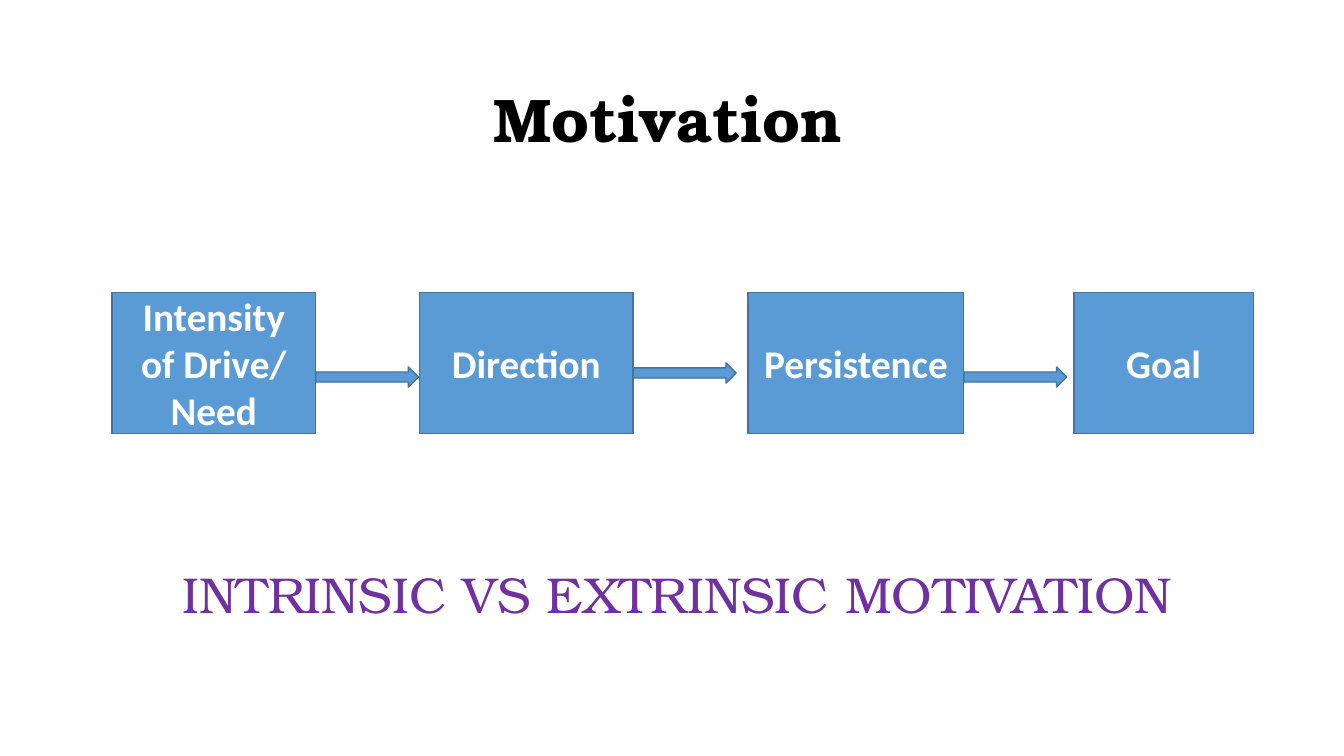
from pptx import Presentation, util as u
from pptx.dml.color import RGBColor
from pptx.enum import shapes, text

BLUE, EDGE, WHITE, BLACK, PURPLE = "5B9BD5", "43739E", "FFFFFF", "000000", "7030A0"
SERIF, SANS = "TeX Gyre Bonum", "Calibri"
# Step label, left edge and width in percent of the flow box
STEPS = [
    ("Intensity of Drive/ Need", 0, 17.84),
    ("Direction", 26.94, 18.73),
    ("Persistence", 55.74, 18.9),
    ("Goal", 84.28, 15.72),
]
# Top of each arrow in percent of the flow box
TOPS = [52.86, 50, 52.86]


def color(fmt, code):
    """Set a fill's or font's colour from a hex string."""
    if hasattr(fmt, "solid"):
        fmt.solid()
        fmt = fmt.fore_color
    else:
        fmt = fmt.color
    fmt.rgb = RGBColor.from_string(code)


def part(box, x, y, w, h):
    """Return the area given in percent of a box."""
    left, top, wide, high = box
    return (int(left + wide * x / 100), int(top + high * y / 100),
            int(wide * w / 100), int(high * h / 100))


def write(frame, words, size, face, code, bold=False, align=text.PP_ALIGN.CENTER):
    """Fill a text frame with one styled paragraph and return it."""
    frame.text = words
    para = frame.paragraphs[0]
    para.alignment = align
    font = para.font
    font.size, font.name, font.bold = u.Pt(size), face, bold
    color(font, code)
    return para


def block(slide, kind, area):
    """Add a blue outlined shape."""
    shape = slide.shapes.add_shape(kind, *area)
    shape.shadow.inherit = False
    color(shape.fill, BLUE)
    color(shape.line.fill, EDGE)
    shape.line.width = u.Pt(1)
    return shape


def heading(slide, box):
    """Place the title at the top of its box."""
    title = slide.shapes.title
    title.left, title.top, title.width, title.height = box
    frame = title.text_frame
    para = write(frame, "Motivation", 44, SERIF, BLACK, bold=True)
    para.line_spacing, para.space_before = 0.9, u.Pt(10)
    frame.vertical_anchor = text.MSO_ANCHOR.TOP
    frame.auto_size = text.MSO_AUTO_SIZE.NONE


def flow(slide, box):
    """Draw the steps in a row, then the arrows between them."""
    kinds = shapes.MSO_SHAPE
    for words, x, w in STEPS:
        frame = block(slide, kinds.RECTANGLE, part(box, x, 0, w, 100)).text_frame
        frame.vertical_anchor = text.MSO_ANCHOR.MIDDLE
        write(frame, words, 28, SANS, WHITE, bold=True)
    for (_, x, w), y in zip(STEPS, TOPS):
        block(slide, kinds.RIGHT_ARROW, part(box, x + w, y, 9.01, 14.29))


def caption(slide, box):
    """Write the closing line."""
    frame = slide.shapes.add_textbox(*box).text_frame
    frame.word_wrap = False
    frame.auto_size = text.MSO_AUTO_SIZE.SHAPE_TO_FIT_TEXT
    write(frame, "INTRINSIC VS EXTRINSIC MOTIVATION", 36, SERIF, PURPLE,
          align=text.PP_ALIGN.LEFT)


deck = Presentation()
deck.slide_width, deck.slide_height = u.Inches(13.33), u.Inches(7.5)
page = (0, 0, deck.slide_width, deck.slide_height)
slide = deck.slides.add_slide(deck.slide_layouts.get_by_name("Title Only"))
heading(slide, part(page, 6.6, 11.2, 86.27, 12))
flow(slide, part(page, 8.33, 38.67, 84.92, 18.67))
caption(slide, part(page, 12.83, 73.87, 76.22, 9.47))
deck.save("out.pptx")
